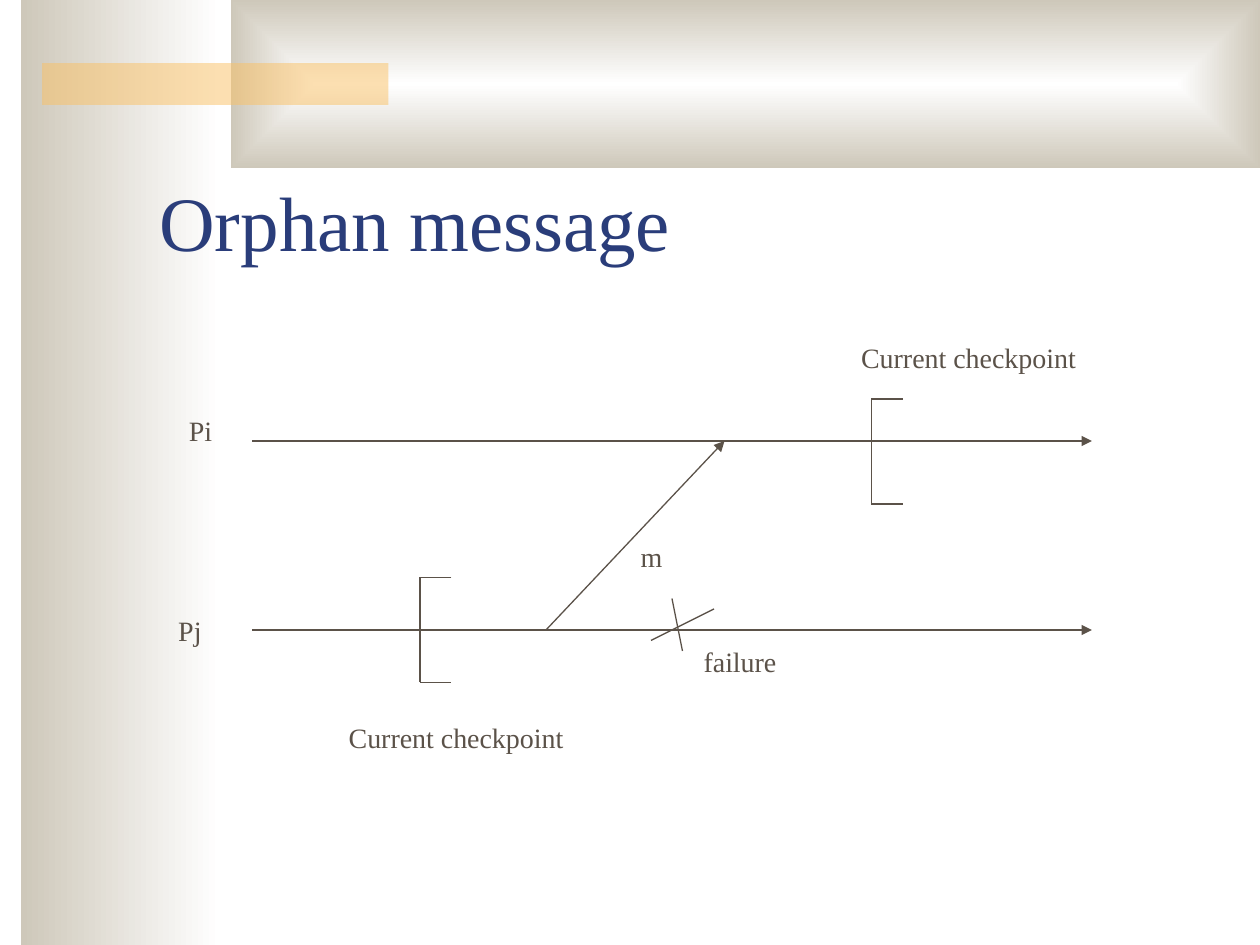
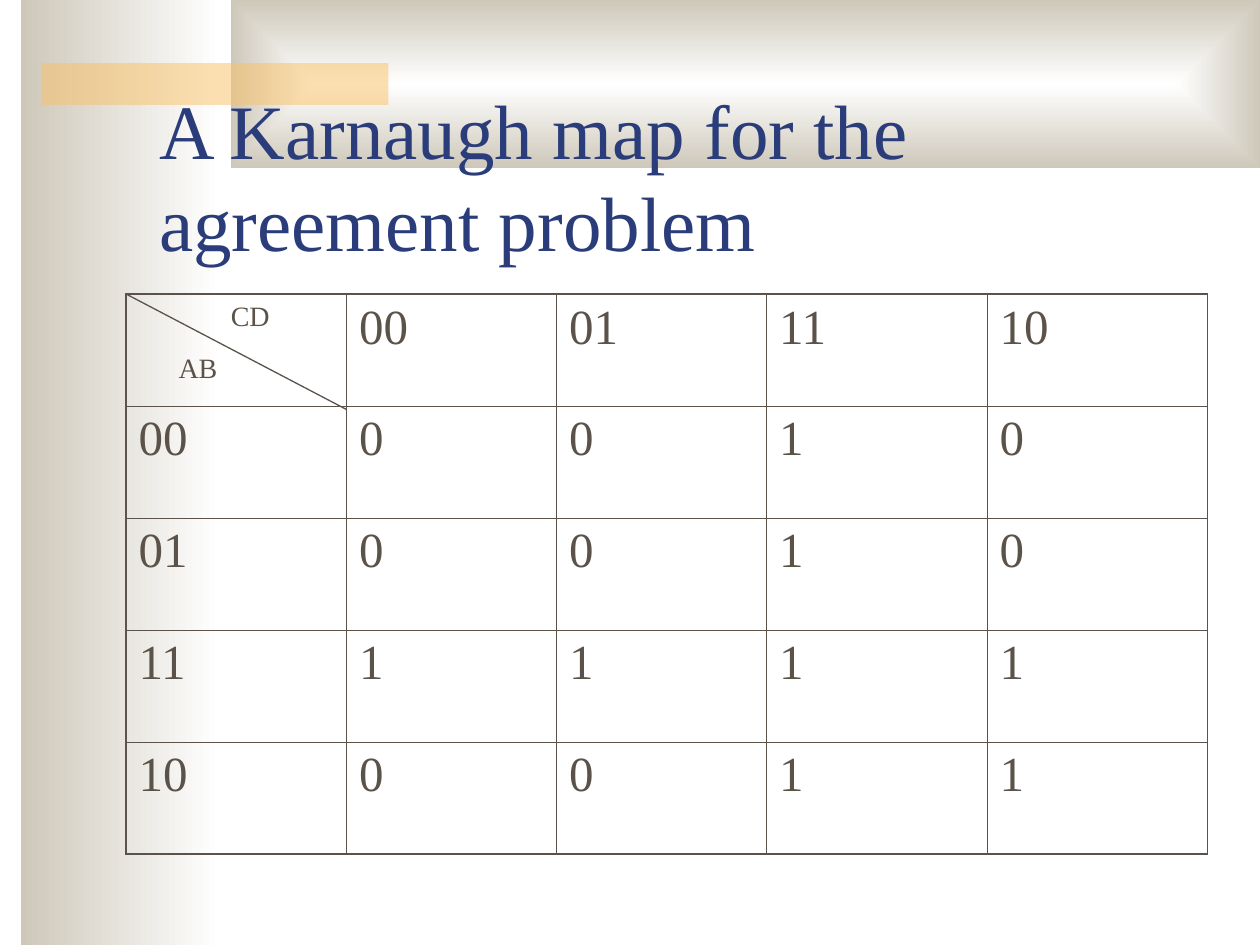
from itertools import pairwise

from lxml.etree import SubElement
from pptx import Presentation
from pptx.dml.color import RGBColor
from pptx.enum.shapes import MSO_CONNECTOR, MSO_SHAPE
from pptx.enum.text import MSO_ANCHOR, MSO_AUTO_SIZE
from pptx.oxml.ns import qn
from pptx.util import Pt

WHITE = RGBColor(0xFF, 0xFF, 0xFF)
SAND = RGBColor(0xCE, 0xC8, 0xBA)
AMBER = RGBColor(0xFA, 0xC1, 0x64)
NAVY = RGBColor(0x2A, 0x3D, 0x7A)
BROWN = RGBColor(0x5B, 0x52, 0x49)

FACE = "Times New Roman"
HEAD = {"name": FACE, "size": Pt(44)}
BODY = {"name": FACE, "size": Pt(28)}
NOTE = {"name": FACE, "size": Pt(16)}
TITLE = {"word_wrap": True, "vertical_anchor": MSO_ANCHOR.BOTTOM}
LABEL = {"word_wrap": False, "auto_size": MSO_AUTO_SIZE.NONE}
PLAIN = {"first_row": False, "horz_banding": False}

PAGE = (0, 0, 720, 540)
LANES = (144, 252, 480, 108)
GRID = (72, 168, 618, 320)
WIDTHS = (126, 120, 120, 126, 126)
CODES = ("00", "01", "11", "10")
BITS = ("0010", "0010", "1111", "0011")
THIN, THICK, STROKE = 0.45, 1.08, 0.75


def style(item, values):
    """Set each value of a dict on the item."""
    for name, value in values.items():
        setattr(item, name, value)


def write(frame, text, font, color):
    """Put one styled run in a text frame."""
    run = frame.paragraphs[0].add_run()
    run.text = text
    style(run.font, font)
    run.font.color.rgb = color


def text(slide, box, words, frame, font, color):
    """Add a text box."""
    area = slide.shapes.add_textbox(*map(Pt, box)).text_frame
    style(area, frame)
    write(area, words, font, color)


def line(slide, start, end, arrow=False):
    """Draw a line, with an arrowhead at its end if asked."""
    link = slide.shapes.add_connector(MSO_CONNECTOR.STRAIGHT, *map(Pt, (*start, *end)))
    link.line.color.rgb = BROWN
    link.line.width = Pt(STROKE)
    props = link._element.spPr
    if arrow:
        SubElement(props.find(qn("a:ln")), qn("a:tailEnd"), type="triangle")
    SubElement(props, qn("a:effectLst"))


def block(slide, box):
    """Add a bare rectangle."""
    shape = slide.shapes.add_shape(MSO_SHAPE.RECTANGLE, *map(Pt, box))
    shape.shadow.inherit = False
    shape.line.fill.background()
    return shape


def fade(shape):
    """Fill a shape with white that turns to sand on the left."""
    shape.fill.gradient()
    shape.fill.gradient_angle = 180
    for stop, color, spot in zip(shape.fill.gradient_stops, (WHITE, SAND), (0, 1)):
        stop.color.rgb = color
        stop.position = spot


def frame(slide, box, title):
    """Draw the bands and the title that all slides share."""
    x, y, wide, high = box
    fade(block(slide, (x + 12, y, 114, high)))
    band = block(slide, (x + 132, y, wide - 132, 96))
    fade(band)
    blend = band._element.spPr.find(qn("a:gradFill"))
    blend.remove(blend.find(qn("a:lin")))
    course = SubElement(blend, qn("a:path"), path="rect")
    SubElement(course, qn("a:fillToRect"), dict.fromkeys("ltrb", "50000"))
    bar = block(slide, (x + 24, y + 36, 198, 24))
    bar.fill.solid()
    bar.fill.fore_color.rgb = AMBER
    tint = bar._element.spPr.find(qn("a:solidFill"))[0]
    SubElement(tint, qn("a:alpha"), val="50000")
    text(slide, (x + 84, y + 66, 612, 90), title, TITLE, HEAD, NAVY)


def lanes(slide, box):
    """Draw two process lanes with checkpoints, a message and a failure."""
    x, y, wide, high = box

    def at(across, down):
        """Turn an offset in the box into a point."""
        return x + across, y + down

    for down in (0, high):
        line(slide, at(0, down), at(wide, down), True)
    for left, top in ((354, -24), (96, high - 30)):
        edge = [(left + 18, top), (left, top), (left, top + 60), (left + 18, top + 60)]
        for start, end in pairwise(edge):
            line(slide, at(*start), at(*end))
    line(slide, at(168, high), at(270, 0), True)
    line(slide, at(264, high - 12), at(228, high + 6))
    line(slide, at(240, high - 18), at(246, high + 12))
    for words, left, top, width in (
        ("Pi", -43.2, -19.4, 28),
        ("Pj", -49.2, 95, 28),
        ("m", 215, 52.6, 27),
        ("failure", 251, 113, 56.4),
        ("Current checkpoint", 341, -61.2, 137.6),
        ("Current checkpoint", 48.2, 156.2, 137.6),
    ):
        text(slide, (*at(left, top), width, 26.6), words, LABEL, NOTE, BROWN)


def rule(cell, sides):
    """Set the border widths of a cell, with no fill."""
    cell.fill.background()
    props = cell._tc.get_or_add_tcPr()
    for place, (side, width) in enumerate(sides.items()):
        edge = SubElement(props, qn(f"a:ln{side}"), w=str(Pt(width)))
        paint = SubElement(edge, qn("a:solidFill"))
        SubElement(paint, qn("a:srgbClr"), val=str(BROWN))
        props.insert(place, edge)


def chart(slide, box):
    """Draw the Karnaugh map with its split corner cell."""
    x, y, _, high = box
    rows = [("", *CODES)] + [(code, *bits) for code, bits in zip(CODES, BITS)]
    count = len(rows)
    table = slide.shapes.add_table(count, count, *map(Pt, box)).table
    style(table, PLAIN)
    for column, width in zip(table.columns, WIDTHS):
        column.width = Pt(width)
    for r, row in enumerate(rows):
        table.rows[r].height = Pt(high / count)
        for c, words in enumerate(row):
            cell = table.cell(r, c)
            outer = {"L": c == 0, "R": c == count - 1, "T": r == 0, "B": r == count - 1}
            rule(cell, {side: THICK if out else THIN for side, out in outer.items()})
            if words:
                cell.text_frame.paragraphs[0].space_before = Pt(7)
                write(cell.text_frame, words, BODY, BROWN)
    line(slide, (x, y), (x + WIDTHS[0], y + 66))
    for words, left, top in (("CD", 52.8, -1), ("AB", 23, 28.6)):
        text(slide, (x + left, y + top, 36.7, 26.6), words, LABEL, NOTE, BROWN)


def main():
    """Build and save both slides."""
    deck = Presentation()
    style(deck, {"slide_width": Pt(PAGE[2]), "slide_height": Pt(PAGE[3])})
    for title, draw, box in (
        ("Orphan message", lanes, LANES),
        ("A Karnaugh map for the agreement problem", chart, GRID),
    ):
        slide = deck.slides.add_slide(deck.slide_layouts[6])
        frame(slide, PAGE, title)
        draw(slide, box)
    deck.save("out.pptx")


if __name__ == "__main__":
    main()
